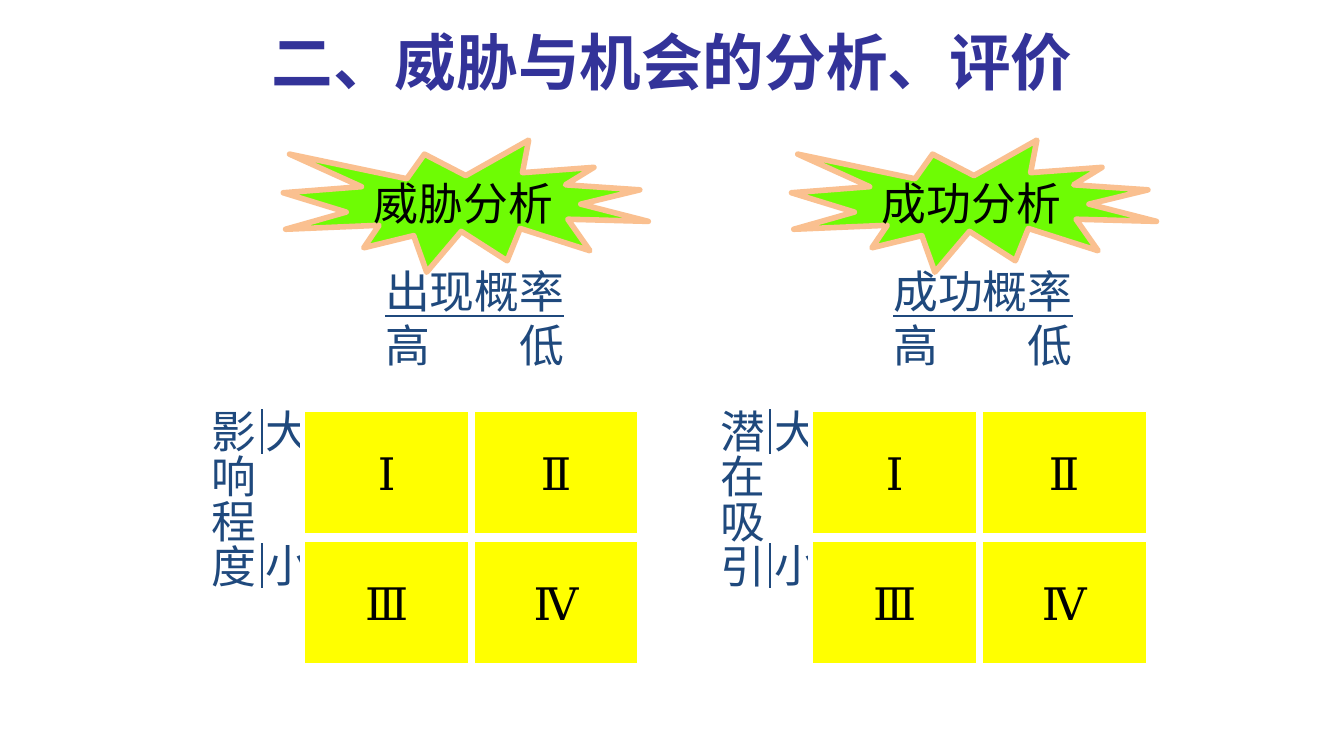
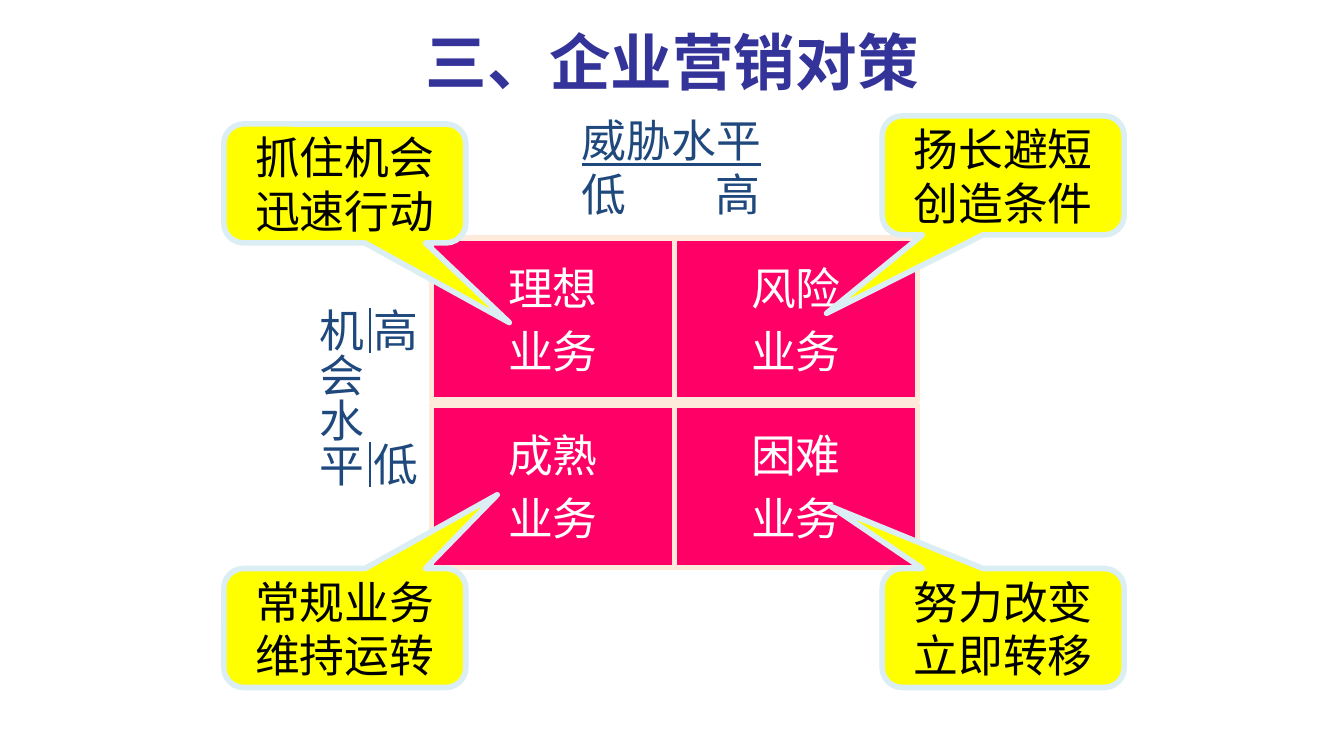
from pptx import Presentation
from pptx.dml.color import RGBColor
from pptx.enum.shapes import MSO_SHAPE
from pptx.enum.text import MSO_ANCHOR, PP_ALIGN
from pptx.oxml.ns import qn
from pptx.util import Emu, Pt
from lxml import etree

PX = 9144  # 100 px to the inch
SANS = "Noto Sans CJK SC"
TITLE_FONT = "Noto Sans CJK JP"
SERIF = "Times New Roman"
INDIGO, NAVY, BLACK, WHITE = "333399", "1F497D", "000000", "FFFFFF"
YELLOW, GREEN, PINK = "FFFF00", "6EFC04", "FF0066"
PEACH, CREAM, ICE = "FAC090", "FDEADA", "DBEEF4"

TITLE_BOX = (67, 13, 1200, 95)
TEXT_SIZE, LINE_PITCH = 32, 38.5
LABEL_LENGTH = 180  # four characters
TAB_POSITION = 133  # three characters
NUMERALS = [["Ⅰ"], ["Ⅱ"], ["Ⅲ"], ["Ⅳ"]]

ANALYSIS_TITLE = "二、威胁与机会的分析、评价"
# left offset, burst, horizontal axis, vertical axis
ANALYSES = [
    (0, "威胁分析", ("出现概率", "高\t低"), ("大\t小", "影响程度")),
    (504, "成功分析", ("成功概率", "高\t低"), ("大\t小", "潜在吸引")),
]

STRATEGY_TITLE = "三、企业营销对策"
BUSINESSES = [["理想", "业务"], ["风险", "业务"], ["成熟", "业务"], ["困难", "业务"]]
# lines, left, top, pointer tip
CALLOUTS = [
    (("抓住机会", "迅速行动"), 222, 123, (0.68, 1.17)),
    (("扬长避短", "创造条件"), 875, 115, (-0.73, 1.16)),
    (("常规业务", "维持运转"), 222, 564, (0.63, -1.12)),
    (("努力改变", "立即转移"), 875, 564, (-0.71, -1.02)),
]


def px(value):
    return Emu(value * PX)


def color(value):
    return RGBColor.from_string(value)


def write(frame, lines, ink, font=SANS, east_asian=SANS, size=TEXT_SIZE,
          align=PP_ALIGN.CENTER, underlined=None, before=0, bold=False):
    """Fill a frame with one paragraph a line; underlined is a line index."""
    for index, line in enumerate(lines):
        paragraph = frame.paragraphs[0] if index == 0 else frame.add_paragraph()
        paragraph.text = line
        paragraph.alignment = align
        paragraph.space_before = Pt(before)
        if size == TEXT_SIZE:
            paragraph.line_spacing = Pt(LINE_PITCH)
        paragraph.font.size = Pt(size)
        paragraph.font.bold = bold
        paragraph.font.underline = index == underlined
        paragraph.font.color.rgb = color(ink)
        paragraph.font.name = font
        properties = paragraph._p.get_or_add_pPr()
        defaults = properties.find(qn("a:defRPr"))
        etree.SubElement(defaults, qn("a:ea")).set("typeface", east_asian)
        if "\t" in line:
            tabs = etree.Element(qn("a:tabLst"))
            etree.SubElement(tabs, qn("a:tab"), pos=str(px(TAB_POSITION)), algn="l")
            defaults.addprevious(tabs)


def add_text_box(slide, box):
    frame = slide.shapes.add_textbox(*map(px, box)).text_frame
    frame.word_wrap = True
    return frame


def add_panel(slide, kind, box, fill, line):
    shape = slide.shapes.add_shape(kind, *map(px, box))
    shape.shadow.inherit = False
    shape.fill.solid()
    shape.fill.fore_color.rgb = color(fill)
    shape.line.color.rgb = color(line)
    shape.line.width = Pt(4)
    shape.text_frame.word_wrap = False
    shape.text_frame.vertical_anchor = MSO_ANCHOR.MIDDLE
    return shape


def add_titled_slide(presentation, title):
    slide = presentation.slides.add_slide(presentation.slide_layouts[6])
    frame = add_text_box(slide, TITLE_BOX)
    frame.vertical_anchor = MSO_ANCHOR.MIDDLE
    write(frame, [title], INDIGO, TITLE_FONT, TITLE_FONT, size=44, bold=True)
    return slide


def add_horizontal_axis(slide, lines, box):
    frame = add_text_box(slide, box)
    frame.margin_left = frame.margin_right = px((box[2] - LABEL_LENGTH) // 2)
    write(frame, lines, NAVY, align=PP_ALIGN.LEFT, underlined=0)


def add_vertical_axis(slide, lines, box):
    frame = add_text_box(slide, box)
    frame.margin_left = frame.margin_right = px(10)
    frame.margin_top = frame.margin_bottom = px(10)
    frame._txBody.bodyPr.set("vert", "eaVert")
    write(frame, lines, NAVY, align=PP_ALIGN.LEFT, underlined=0)


def add_matrix(slide, cells, origin, size, pitch, fill, line, ink, east_asian):
    """Draw four cells in two rows of two."""
    for index, lines in enumerate(cells):
        row, column = divmod(index, 2)
        box = (origin[0] + column * pitch[0], origin[1] + row * pitch[1], *size)
        cell = add_panel(slide, MSO_SHAPE.RECTANGLE, box, fill, line)
        write(cell.text_frame, lines, ink, SERIF, east_asian, before=6.4)


def add_analysis_slide(presentation):
    slide = add_titled_slide(presentation, ANALYSIS_TITLE)
    for left, burst_text, horizontal, vertical in ANALYSES:
        add_horizontal_axis(slide, horizontal, (left + 336, 257, 273, 118))
        add_vertical_axis(slide, vertical, (left + 188, 396, 128, 278))
        add_matrix(slide, NUMERALS, (left + 300, 406), (167, 126), (168, 129),
                   YELLOW, WHITE, BLACK, SERIF)
        burst = add_panel(slide, MSO_SHAPE.EXPLOSION1,
                          (left + 281, 139, 362, 131), GREEN, PEACH)
        write(burst.text_frame, [burst_text], BLACK)


def add_strategy_slide(presentation):
    slide = add_titled_slide(presentation, STRATEGY_TITLE)
    add_horizontal_axis(slide, ("威胁水平", "低\t高"), (549, 107, 236, 118))
    add_vertical_axis(slide, ("高\t低", "机会水平"), (295, 296, 128, 213))
    add_matrix(slide, BUSINESSES, (428, 236), (241, 161), (241, 166),
               PINK, CREAM, WHITE, SANS)
    for lines, left, top, tip in CALLOUTS:
        callout = add_panel(slide, MSO_SHAPE.ROUNDED_RECTANGULAR_CALLOUT,
                            (left, top, 240, 118), YELLOW, ICE)
        callout.adjustments[0], callout.adjustments[1] = tip
        write(callout.text_frame, lines, BLACK)


def main():
    presentation = Presentation()
    presentation.slide_width, presentation.slide_height = px(1333), px(750)
    add_analysis_slide(presentation)
    add_strategy_slide(presentation)
    presentation.save("out.pptx")


if __name__ == "__main__":
    main()
